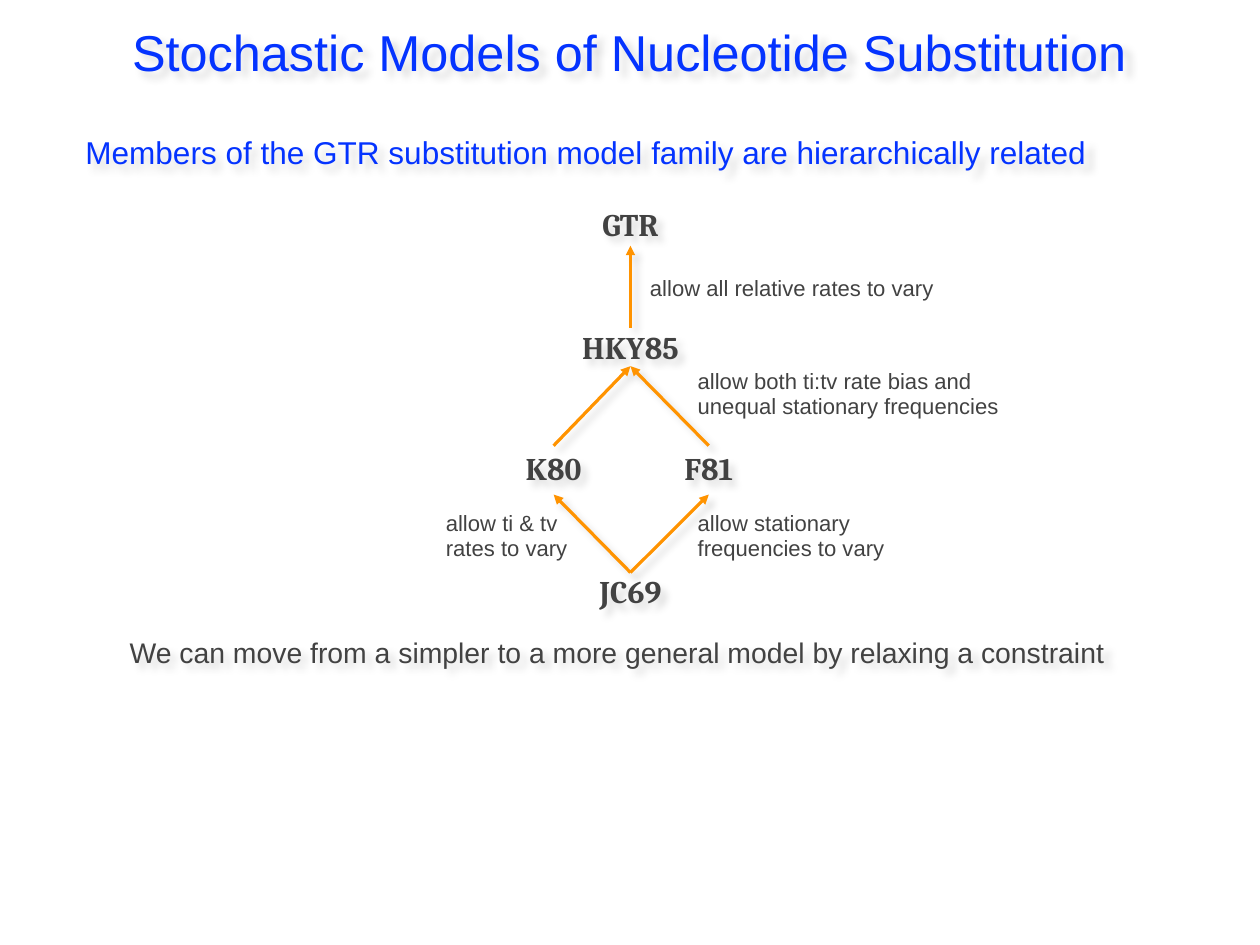
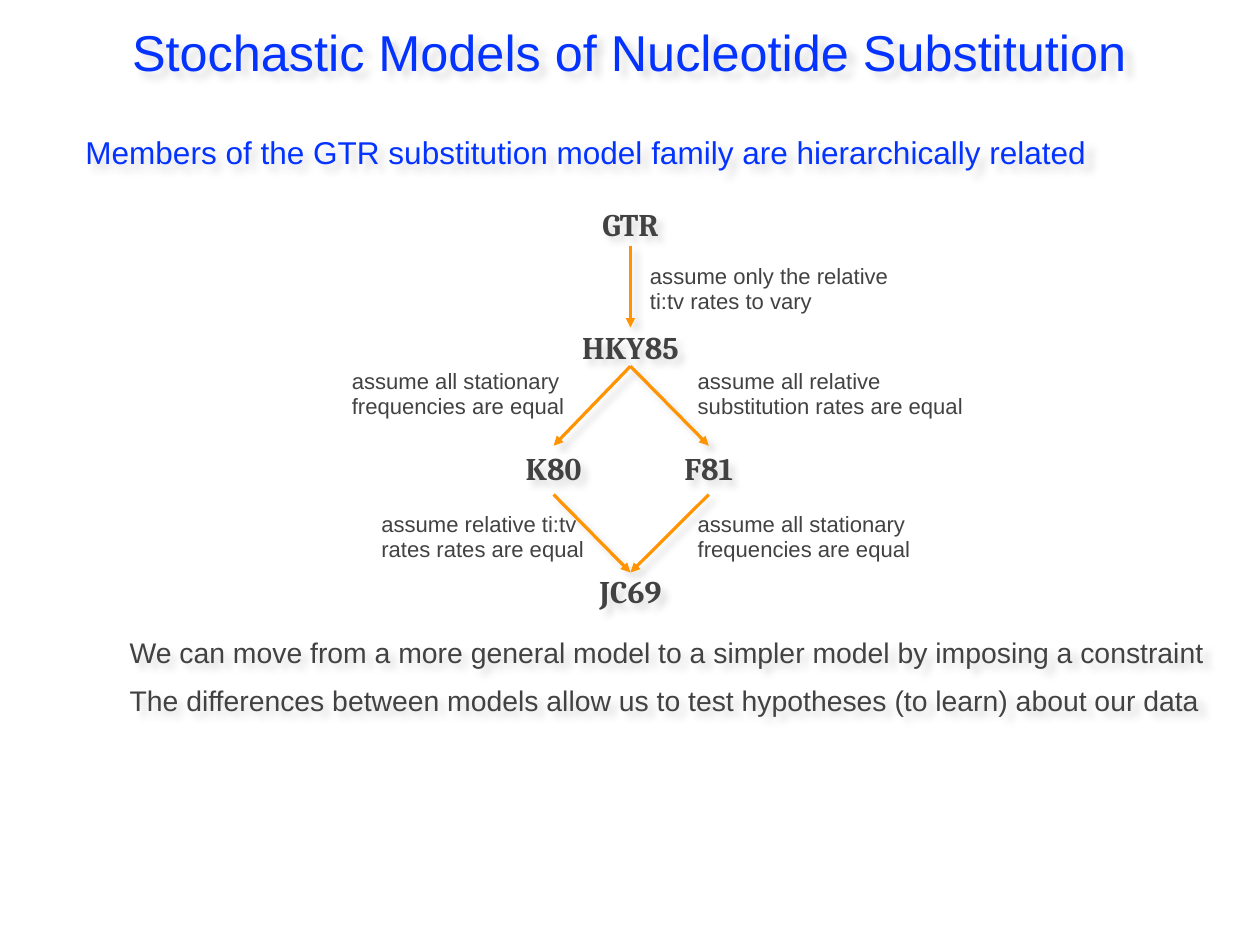
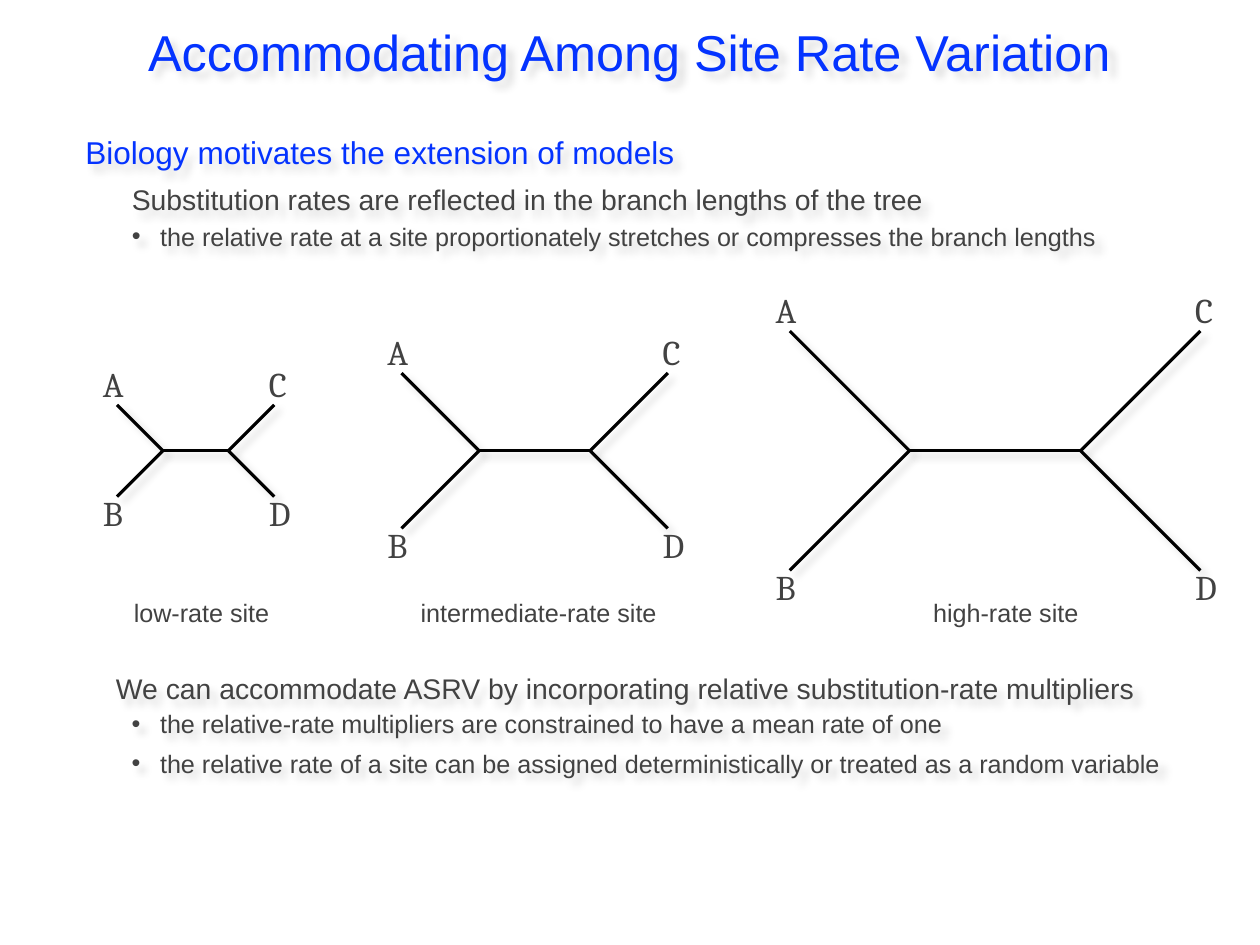
from lxml import etree
from pptx import Presentation
from pptx import util as u
from pptx.dml import color
from pptx.enum import shapes, text
from pptx.oxml import ns

Pt = u.Pt
COLORS = {"blue": "0433FF", "gray": "424242", "orange": "FF9300", "black": "000000"}

# Text styles: font, size, bold, colour, line height
STYLES = {
    "title": ("Arial", 32, False, "blue", 38),
    "heading": ("Arial", 20, False, "blue", 24),
    "statement": ("Arial", 18, False, "gray", 22),
    "conclusion": ("Arial", 18, False, "gray", 21),
    "bullet": ("Arial", 16, False, "gray", 19),
    "caption": ("Arial", 16, False, "gray", 19),
    "label": ("Arial", 14, False, "gray", 16),
    "model": ("Cambria", 20, True, "gray", 24),
    "taxon": ("Cambria", 22, False, "gray", 26),
}
LEFT, CENTER = text.PP_ALIGN.LEFT, text.PP_ALIGN.CENTER
TOP, MIDDLE = text.MSO_ANCHOR.TOP, text.MSO_ANCHOR.MIDDLE
INSET = 4.5
BULLET_HANG = 18

# Substitution models: centre x, top, height, inset above the text
MODELS = {
    "GTR": (400.3, 130, 26, 0),
    "HKY85": (400.3, 208, 24.5, 0),
    "K80": (351.5, 283, 31, 2.3),
    "F81": (450, 283, 31, 2.3),
    "JC69": (400.3, 363.5, 24.5, 0),
}
# Each pair runs from the simpler model to the more general one
RELATIONS = [("HKY85", "GTR"), ("K80", "HKY85"), ("F81", "HKY85"),
             ("JC69", "K80"), ("JC69", "F81")]


def rgb(name):
    return color.RGBColor.from_string(COLORS[name])


def child(parent, tag, **attrs):
    el = etree.SubElement(parent, ns.qn(tag))
    for key, value in attrs.items():
        el.set(key, str(value))
    return el


def add_shadow(sp):
    """Soft shadow to the lower right."""
    effects = child(sp._element.spPr, "a:effectLst")
    outer = child(effects, "a:outerShdw", blurRad=Pt(5), dist=Pt(5),
                  dir=45 * 60000, algn="tl", rotWithShape=0)
    clr = child(outer, "a:srgbClr", val=COLORS["black"])
    child(clr, "a:alpha", val=15000)


class Deck:
    def __init__(self):
        self.prs = Presentation()
        self.prs.slide_width, self.prs.slide_height = Pt(800), Pt(600)
        self.s = None

    def slide(self, title):
        self.s = self.prs.slides.add_slide(self.prs.slide_layouts[3])
        self.placeholder(0, 60, 10.8, 680, 44, [("title", title)], CENTER, MIDDLE)

    def placeholder(self, idx, x, y, w, h, paras, align=LEFT, anchor=TOP):
        sp = self.s.placeholders[idx]
        sp.left, sp.top, sp.width, sp.height = Pt(x), Pt(y), Pt(w), Pt(h)
        self.fill_text(sp.text_frame, paras, align, anchor)
        add_shadow(sp)

    def heading(self, *paras):
        self.placeholder(1, 49.7, 80, 735, 90, paras)

    def summary(self, x, y, *paras):
        self.placeholder(2, x, y, 796 - x, 80, paras)

    def fill_text(self, tf, paras, align, anchor, inset_top=INSET):
        """Each paragraph is (style, text[, space before[, indent]])."""
        tf.word_wrap = True
        tf.auto_size = text.MSO_AUTO_SIZE.NONE
        tf.vertical_anchor = anchor
        tf.margin_left = tf.margin_right = tf.margin_bottom = Pt(INSET)
        tf.margin_top = Pt(inset_top)
        for i, (style, words, *spacing) in enumerate(paras):
            before, indent = (spacing + [0, 0])[:2]
            font, size, bold, clr, leading = STYLES[style]
            p = tf.paragraphs[0] if i == 0 else tf.add_paragraph()
            p.alignment = align
            p.line_spacing, p.space_before, p.space_after = Pt(leading), Pt(before), Pt(0)
            pPr = p._p.get_or_add_pPr()
            hang = BULLET_HANG if style == "bullet" else 0
            pPr.set("marL", str(Pt(indent + hang)))
            pPr.set("indent", str(Pt(-hang)))
            if hang:
                child(pPr, "a:buFont", typeface="Arial")
                child(pPr, "a:buChar", char="•")
            else:
                child(pPr, "a:buNone")
            for j, line in enumerate(words.split("\n")):
                if j:
                    p.add_line_break()
                r = p.add_run()
                r.text = line
                r.font.name, r.font.size, r.font.bold = font, Pt(size), bold
                r.font.color.rgb = rgb(clr)

    def textbox(self, x, y, w, h, style, words, align=LEFT, anchor=MIDDLE,
                inset_top=INSET, parent=None):
        sp = (parent or self.s).shapes.add_textbox(Pt(x), Pt(y), Pt(w), Pt(h))
        self.fill_text(sp.text_frame, [(style, words)], align, anchor, inset_top)
        return sp

    def label(self, x, center_y, words):
        self.textbox(x, center_y - 20, 232, 40, "label", words)

    def line(self, x1, y1, x2, y2, clr, parent=None):
        c = (parent or self.s).shapes.add_connector(
            shapes.MSO_CONNECTOR.STRAIGHT, Pt(x1), Pt(y1), Pt(x2), Pt(y2))
        c.line.color.rgb = rgb(clr)
        c.line.width = Pt(2)
        add_shadow(c)
        return c

    def arrow(self, start, end):
        upward = start.top > end.top
        c = self.line(0, 0, 1, 1, "orange")
        c.begin_connect(start, 0 if upward else 2)
        c.end_connect(end, 2 if upward else 0)
        child(c.line._get_or_add_ln(), "a:tailEnd", type="triangle")

    def hierarchy(self, relations):
        boxes = {}
        for name, (cx, top, height, inset) in MODELS.items():
            boxes[name] = self.textbox(cx - 50, top, 100, height, "model", name,
                                       CENTER, TOP, inset)
            add_shadow(boxes[name])
        for start, end in relations:
            self.arrow(boxes[start], boxes[end])

    def tree(self, cx, arm):
        """Four-taxon tree: arms at 45 degrees, spine in proportion."""
        cy, half_spine = 286.2, arm * 1.43 / 2
        group = self.s.shapes.add_group_shape()
        self.line(cx - half_spine, cy, cx + half_spine, cy, "black", group)
        for name, dx, dy in (("A", -1, -1), ("B", -1, 1), ("C", 1, -1), ("D", 1, 1)):
            node = cx + dx * half_spine
            tip_x, tip_y = node + dx * arm, cy + dy * arm
            self.line(node, cy, tip_x, tip_y, "black", group)
            text_x = tip_x - (9 if dx < 0 else 3.4)
            text_y = tip_y + (-13.6 if dy < 0 else 10.7)
            self.textbox(text_x - INSET, text_y - 18, 32, 36, "taxon", name, parent=group)


def main():
    deck = Deck()

    # Slides 1 and 2: the same hierarchy, read upward and then downward
    upward_labels = [
        (408.2, 183.2, "allow all relative rates to vary"),
        (438.5, 250.2, "allow both ti:tv rate bias and\nunequal stationary frequencies"),
        (278.6, 340.2, "allow ti & tv\nrates to vary"),
        (438.5, 340.2, "allow stationary\nfrequencies to vary"),
    ]
    downward_labels = [
        (408.2, 183.2, "assume only the relative\nti:tv rates to vary"),
        (218.9, 250.2, "assume all stationary\nfrequencies are equal"),
        (438.5, 250.2, "assume all relative\nsubstitution rates are equal"),
        (237.6, 340.6, "assume relative ti:tv\nrates rates are equal"),
        (438.5, 340.6, "assume all stationary\nfrequencies are equal"),
    ]
    upward_summary = [
        ("conclusion", "We can move from a simpler to a more general model by relaxing a constraint"),
    ]
    downward_summary = [
        ("conclusion", "We can move from a more general model to a simpler model by imposing a constraint"),
        ("conclusion", "The differences between models allow us to test hypotheses (to learn) about our data", 9),
    ]
    reversed_relations = [(end, start) for start, end in RELATIONS]
    for relations, labels, summary in (
            (RELATIONS, upward_labels, upward_summary),
            (reversed_relations, downward_labels, downward_summary)):
        deck.slide("Stochastic Models of Nucleotide Substitution")
        deck.heading(("heading", "Members of the GTR substitution model family are hierarchically related"))
        deck.hierarchy(relations)
        for label in labels:
            deck.label(*label)
        deck.summary(77.8, 399.6, *summary)

    # Slide 3: one tree at three rates
    deck.slide("Accommodating Among Site Rate Variation")
    deck.heading(
        ("heading", "Biology motivates the extension of models"),
        ("statement", "Substitution rates are reflected in the branch lengths of the tree", 7, 29.5),
        ("bullet", "the relative rate at a site proportionately stretches or compresses the branch lengths", 3, 29.5))
    for caption, caption_cx, cx, arm in (
            ("low-rate site", 128, 124.2, 29.1),
            ("intermediate-rate site", 342, 339.5, 49.3),
            ("high-rate site", 638.6, 631.8, 76)):
        deck.tree(cx, arm)
        deck.textbox(caption_cx - 97, 376.7, 194, 25, "caption", caption, CENTER)
    deck.summary(
        69.1, 421.2,
        ("statement", "We can accommodate ASRV by incorporating relative substitution-rate multipliers"),
        ("bullet", "the relative-rate multipliers are constrained to have a mean rate of one", 2.5, 10),
        ("bullet", "the relative rate of a site can be assigned deterministically or treated as a random variable", 6, 10))

    deck.prs.save("out.pptx")


if __name__ == "__main__":
    main()
